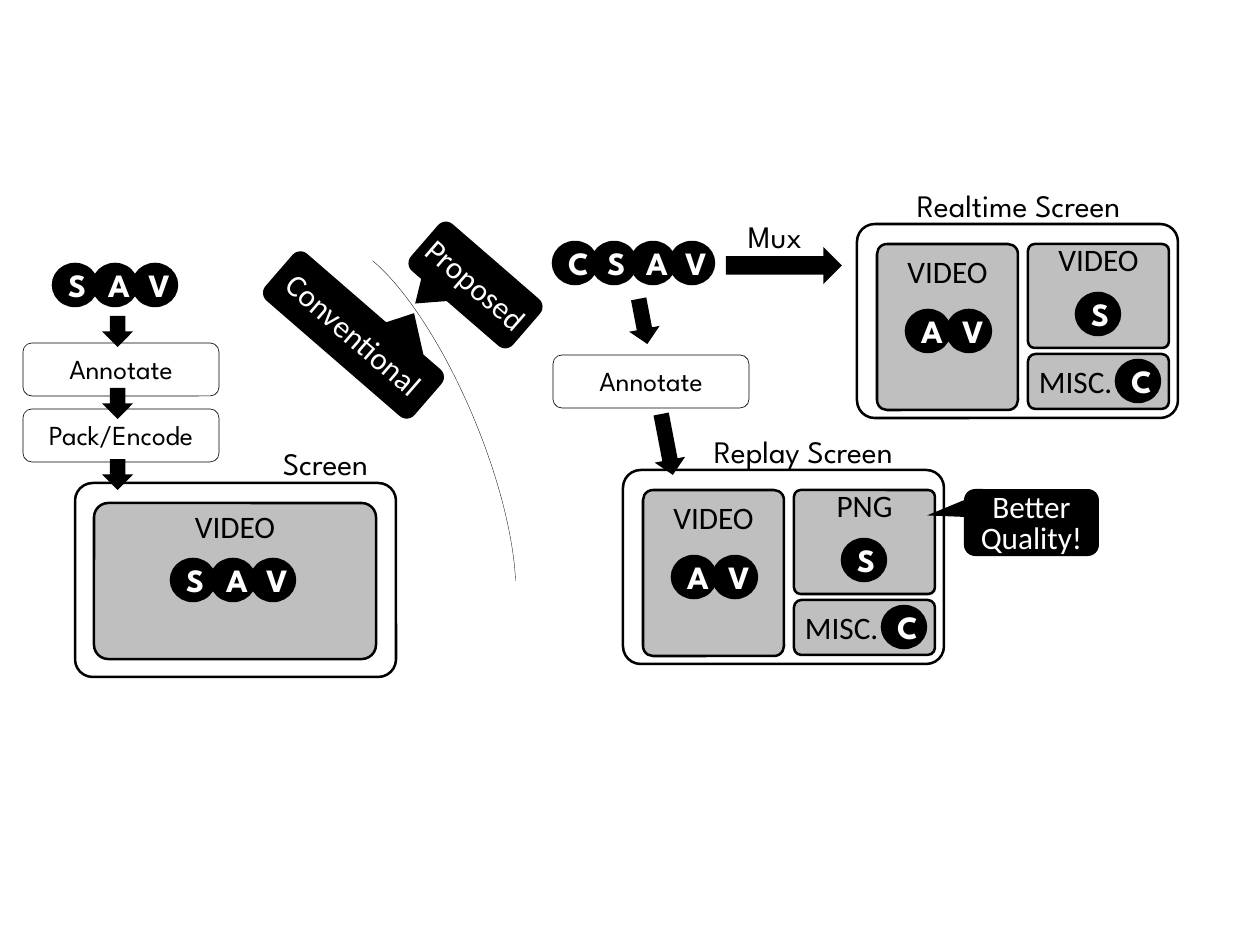
"""Build a slide comparing conventional and proposed screen streaming."""
import pptx
import pptx.dml.color
import pptx.enum.shapes
import pptx.enum.text
import pptx.util

SCALE = 10160
COLORS = {"ink": "000000", "paper": "FFFFFF", "panel": "BFBFBF"}
SANS, SPARTAN = "Calibri", "League Spartan"
SHAPE = pptx.enum.shapes.MSO_SHAPE
ALIGN = pptx.enum.text.PP_ALIGN
ANCHOR = pptx.enum.text.MSO_ANCHOR


def px(*lengths):
    return [pptx.util.Emu(round(length * SCALE)) for length in lengths]


def color(name):
    return pptx.dml.color.RGBColor.from_string(COLORS[name])


def add_block(slide, kind, box, fill=None, line=None, adjust=(), rotation=0):
    block = slide.shapes.add_shape(kind, *px(*box))
    block.shadow.inherit = False
    block.rotation = rotation
    for index, value in enumerate(adjust):
        block.adjustments[index] = value
    if fill:
        block.fill.solid()
        block.fill.fore_color.rgb = color(fill)
    else:
        block.fill.background()
    if line:
        block.line.color.rgb = color("ink")
        block.line.width = pptx.util.Pt(line)
    else:
        block.line.fill.background()
    return block


def write(block, text, font, size, ink="ink", align=ALIGN.CENTER, anchor=ANCHOR.MIDDLE,
          spacing=None, insets=None, bold=False, wrap=True):
    frame = block.text_frame
    frame.text = text
    frame.word_wrap = wrap
    frame.vertical_anchor = anchor
    if insets:
        (frame.margin_left, frame.margin_top,
         frame.margin_right, frame.margin_bottom) = px(*insets)
    for paragraph in frame.paragraphs:
        paragraph.alignment = align
        paragraph.font.name = font
        paragraph.font.size = pptx.util.Pt(size)
        paragraph.font.bold = bold
        paragraph.font.color.rgb = color(ink)
        if spacing:
            paragraph.line_spacing = pptx.util.Pt(spacing)


def add_streams(slide, letters, left, top, step=40):
    for index, letter in reversed(list(enumerate(letters))):
        stream = add_block(slide, SHAPE.OVAL, (left + index * step, top, 44, 42), "ink", 2)
        write(stream, letter, SPARTAN, 26, "paper", bold=True)


def add_step(slide, text, left, top):
    step = add_block(slide, SHAPE.ROUNDED_RECTANGLE, (left, top, 196, 53), line=0.5)
    write(step, text, SPARTAN, 22, spacing=22, insets=(0, 4, 0, 0), wrap=False)


def add_arrow(slide, box, rotation=0):
    add_block(slide, SHAPE.RIGHT_ARROW, box, "ink", rotation=rotation)


def add_label(slide, text, left, top, width):
    label = slide.shapes.add_textbox(*px(left, top, width, 47))
    write(label, text, SPARTAN, 25, align=ALIGN.LEFT, anchor=ANCHOR.TOP)


def add_callout(slide, text, box, pointer, rotation=0):
    callout = add_block(slide, SHAPE.ROUNDED_RECTANGULAR_CALLOUT, box, "ink",
                        adjust=(*pointer, 0.167), rotation=rotation)
    write(callout, text, SANS, 25, "paper", spacing=25, insets=(0, 4, 0, 0))


def add_panel(slide, text, box, corner, top_inset):
    panel = add_block(slide, SHAPE.ROUNDED_RECTANGLE, box, "panel", 2, [corner])
    write(panel, text, SANS, 25, anchor=ANCHOR.TOP, spacing=25, insets=(9, top_inset, 9, 0))


def add_frame(slide, left, top):
    add_block(slide, SHAPE.ROUNDED_RECTANGLE, (left, top, 321, 194), line=2, adjust=[0.091])


def add_split_screen(slide, title, title_offset, slide_format, left, top):
    add_frame(slide, left, top)
    add_label(slide, title, left + title_offset, top - 42, 280)
    add_panel(slide, "VIDEO", (left + 20, top + 20, 141, 166), 0.071, 12)
    add_panel(slide, slide_format, (left + 171, top + 20, 141, 104), 0.064, 1)
    misc = add_block(slide, SHAPE.ROUNDED_RECTANGLE,
                     (left + 171, top + 130, 141, 55), "panel", 2, [0.133])
    write(misc, "MISC.", SANS, 25, align=ALIGN.LEFT)
    add_streams(slide, "AV", left + 49, top + 86, 41)
    add_streams(slide, "S", left + 219, top + 69)
    add_streams(slide, "C", left + 259, top + 136)


def add_conventional(slide):
    add_streams(slide, "SAV", 53, 264)
    add_step(slide, "Annotate", 23, 343)
    add_step(slide, "Pack/Encode", 23, 409)
    add_label(slide, "Screen", 274, 440, 130)
    add_frame(slide, 75, 483)
    add_panel(slide, "VIDEO", (94, 503, 282, 156), 0.091, 6)
    add_streams(slide, "SAV", 171, 559)
    for top in (316, 388, 459):
        add_arrow(slide, (102, top, 31, 31), 90)


def add_divider(slide):
    add_block(slide, SHAPE.ARC, (340, 228, 140, 438), line=0.25,
              adjust=(168.725, 44.545), rotation=337.5)
    add_callout(slide, "Conventional", (255, 304, 197, 62), (0.16, -0.906), 40.9)
    add_callout(slide, "Proposed", (408, 254, 135, 62), (-0.248, 0.863), 40.9)


def add_proposed(slide):
    add_streams(slide, "CSAV", 553, 242, 39)
    add_label(slide, "Mux", 739, 213, 130)
    add_arrow(slide, (726, 247, 116, 37))
    add_split_screen(slide, "Realtime Screen", 51, "VIDEO", 857, 224)
    add_split_screen(slide, "Replay Screen", 82, "PNG", 623, 470)
    add_callout(slide, "Better\nQuality!", (964, 489, 135, 67), (-0.774, -0.106))
    add_step(slide, "Annotate", 553, 355)
    add_arrow(slide, (620, 306, 46, 31), 79.1)
    add_arrow(slide, (636, 429, 62, 31), 79.1)


def main():
    deck = pptx.Presentation()
    deck.slide_width, deck.slide_height = px(1260, 945)
    slide = deck.slides.add_slide(deck.slide_layouts[6])
    add_conventional(slide)
    add_divider(slide)
    add_proposed(slide)
    deck.save("out.pptx")


main()
